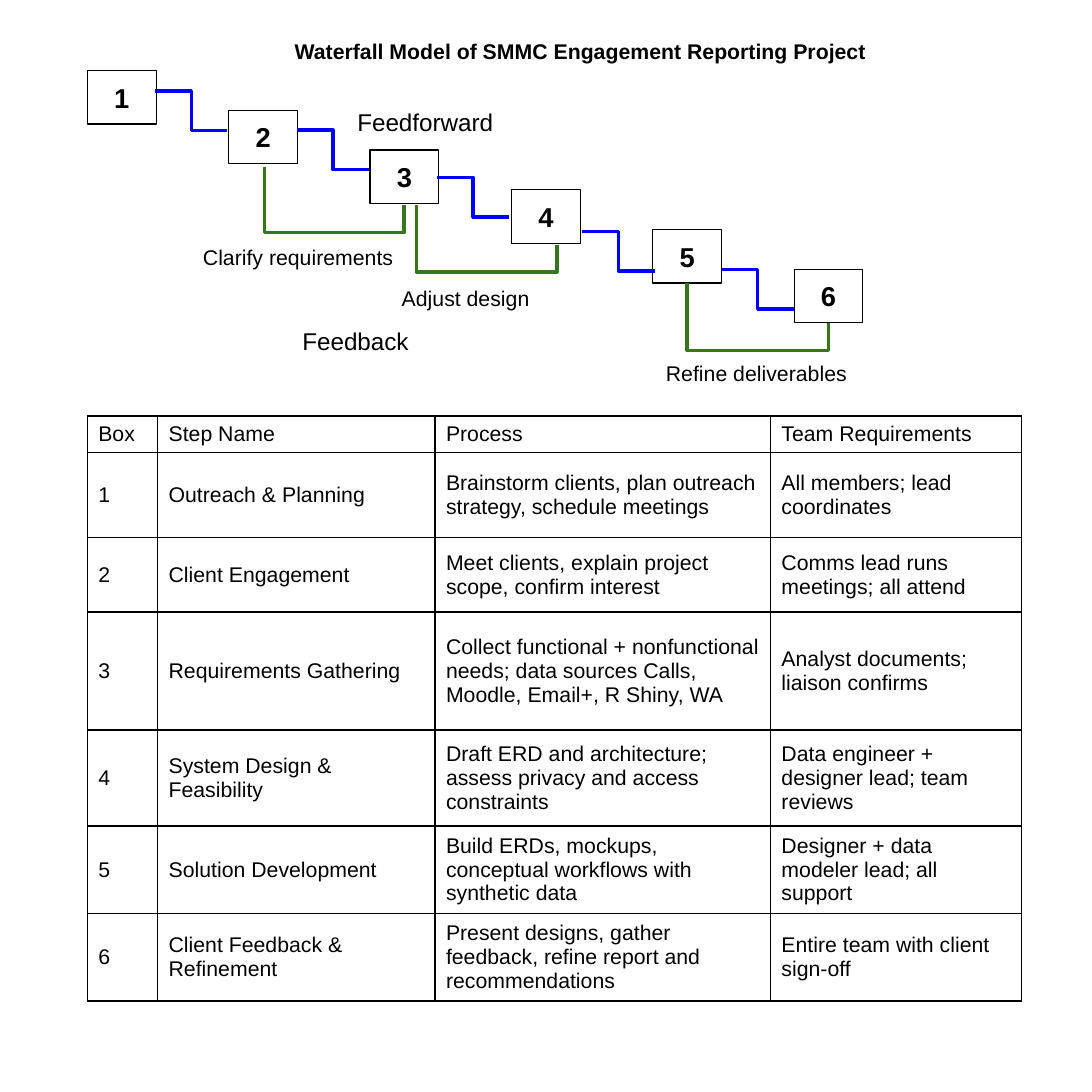
import dataclasses
import lxml.etree
import pptx
import pptx.dml.color
import pptx.enum.shapes
import pptx.enum.text
import pptx.oxml.ns
import pptx.util

Pt = pptx.util.Pt
RGB = pptx.dml.color.RGBColor
Align = pptx.enum.text.PP_ALIGN
Anchor = pptx.enum.text.MSO_ANCHOR
qn = pptx.oxml.ns.qn


@dataclasses.dataclass
class Theme:
    font: str = "Arial"
    ink: str = "000000"
    ahead: str = "0000FF"
    back: str = "38761D"
    body: float = 14
    flow: float = 16
    digit: float = 18
    thin: float = 0.75
    rule: float = 1
    thick: float = 2.25


class Page:
    def __init__(self, slide, theme):
        self.shapes = slide.shapes
        self.theme = theme

    def letter(self, frame, text, size, bold=False, align=Align.LEFT):
        par = frame.paragraphs[0]
        par.text = text
        par.alignment = align
        font = par.font
        font.name, font.size, font.bold = self.theme.font, Pt(size), bold
        font.color.rgb = RGB.from_string(self.theme.ink)

    def box(self, x, y, w, h, text):
        kind = pptx.enum.shapes.MSO_SHAPE.RECTANGLE
        shape = self.shapes.add_shape(kind, Pt(x), Pt(y), Pt(w), Pt(h))
        shape.shadow.inherit = False
        shape.fill.background()
        shape.line.color.rgb = RGB.from_string(self.theme.ink)
        shape.line.width = Pt(self.theme.thin)
        frame = shape.text_frame
        frame.vertical_anchor = Anchor.MIDDLE
        self.letter(frame, text, self.theme.digit, True, Align.CENTER)

    def label(self, x, y, w, h, text, size, pad=3.6, wrap=True, **style):
        frame = self.shapes.add_textbox(Pt(x), Pt(y), Pt(w), Pt(h)).text_frame
        frame.word_wrap = wrap
        frame.margin_top = frame.margin_bottom = Pt(pad)
        self.letter(frame, text, size, **style)

    def elbow(self, x, y, w, h, color):
        kind = pptx.enum.shapes.MSO_CONNECTOR.ELBOW
        link = self.shapes.add_connector(kind, Pt(x), Pt(y), Pt(x + w), Pt(y + h))
        link.line.color.rgb = RGB.from_string(color)
        link.line.width = Pt(self.theme.thick)
        props = link._element.spPr
        lxml.etree.SubElement(props, qn("a:effectLst"))
        return props

    def loop(self, right, low, left, high, drop):
        # A quarter turn makes the elbow leave and arrive from below
        w, h = low - high, right - left
        x, y = (left + right - w) / 2, (low + high - h) / 2
        props = self.elbow(x, y, w, h, self.theme.back)
        frame = props.find(qn("a:xfrm"))
        frame.set("rot", str(90 * 60000))
        frame.set("flipH", "1")
        guides = props.find(qn("a:prstGeom")).find(qn("a:avLst"))
        ratio = round(-drop / w * 100000)
        lxml.etree.SubElement(guides, qn("a:gd"), name="adj1", fmla=f"val {ratio}")

    def border(self, cell):
        props = cell._tc.get_or_add_tcPr()
        for side in ("lnL", "lnR", "lnT", "lnB"):
            edge = lxml.etree.SubElement(
                props, qn(f"a:{side}"), w=str(Pt(self.theme.rule)))
            fill = lxml.etree.SubElement(edge, qn("a:solidFill"))
            lxml.etree.SubElement(fill, qn("a:srgbClr"), val=self.theme.ink)

    def table(self, x, y, widths, heights, rows):
        grid = self.shapes.add_table(
            len(rows), len(widths), Pt(x), Pt(y),
            Pt(sum(widths)), Pt(sum(heights))).table
        grid.first_row = grid.horz_banding = False
        for col, width in zip(grid.columns, widths):
            col.width = Pt(width)
        for row, height, texts in zip(grid.rows, heights, rows):
            row.height = Pt(height)
            for cell, text in zip(row.cells, texts):
                self.border(cell)
                cell.fill.background()
                cell.vertical_anchor = Anchor.MIDDLE
                self.letter(cell.text_frame, text, self.theme.body)


STEPS = [
    ("Outreach & Planning",
     "Brainstorm clients, plan outreach strategy, schedule meetings",
     "All members; lead coordinates"),
    ("Client Engagement",
     "Meet clients, explain project scope, confirm interest",
     "Comms lead runs meetings; all attend"),
    ("Requirements Gathering",
     "Collect functional + nonfunctional needs; data sources Calls, "
     "Moodle, Email+, R Shiny, WA",
     "Analyst documents; liaison confirms"),
    ("System Design & Feasibility",
     "Draft ERD and architecture; assess privacy and access constraints",
     "Data engineer + designer lead; team reviews"),
    ("Solution Development",
     "Build ERDs, mockups, conceptual workflows with synthetic data",
     "Designer + data modeler lead; all support"),
    ("Client Feedback & Refinement",
     "Present designs, gather feedback, refine report and recommendations",
     "Entire team with client sign-off"),
]
HEAD = ("Box", "Step Name", "Process", "Team Requirements")
LEFT, TOP = 57.6, 46.5
ACROSS, DOWN = 93.2, 26.2


def main():
    deck = pptx.Presentation()
    deck.slide_width = deck.slide_height = Pt(720)
    theme = Theme()
    page = Page(deck.slides.add_slide(deck.slide_layouts[6]), theme)

    # Title
    page.label(187.2, 21.6, 393.8, 24.5,
               "Waterfall Model of SMMC Engagement Reporting Project",
               theme.body, wrap=False, bold=True)

    # Stairs of numbered boxes
    for i in range(len(STEPS)):
        page.box(LEFT + i * ACROSS, TOP + i * DOWN, 45.4, 35.3, str(i + 1))

    # Forward links
    starts = [(102.4, 59.9), (195.8, 85.8), (288.2, 116.9),
              (384, 152.5), (475.8, 177.7)]
    for x, y in starts:
        page.elbow(x, y, 47.6, 26.1, theme.ahead)

    # Feedback loops
    loops = [(266.5, 135.4, 174.3, 110.2), (367.2, 161.3, 274.5, 135.4),
             (546.5, 213.1, 453, 186.6)]
    for ends in loops:
        page.loop(*ends, drop=18)

    # Flow names and loop labels
    for x, y, w, text in [(221, 63.4, 118.8, "Feedforward"),
                          (186.5, 208.1, 95.8, "Feedback")]:
        page.label(x, y, w, 33.8, text, theme.flow, pad=7.2, align=Align.CENTER)
    for x, y, w, text in [(126.7, 157.7, 147.6, "Clarify requirements"),
                          (257.8, 184.3, 115.2, "Adjust design"),
                          (432, 234, 136.8, "Refine deliverables")]:
        page.label(x, y, w, 24.5, text, theme.body)

    # Table of steps
    rows = [HEAD] + [(str(n), *step) for n, step in enumerate(STEPS, 1)]
    page.table(LEFT, 274.3, [46.4, 182.9, 221.2, 165.6],
               [24, 56, 49.2, 77.8, 63.3, 57.7, 57.5], rows)

    deck.save("out.pptx")


if __name__ == "__main__":
    main()
